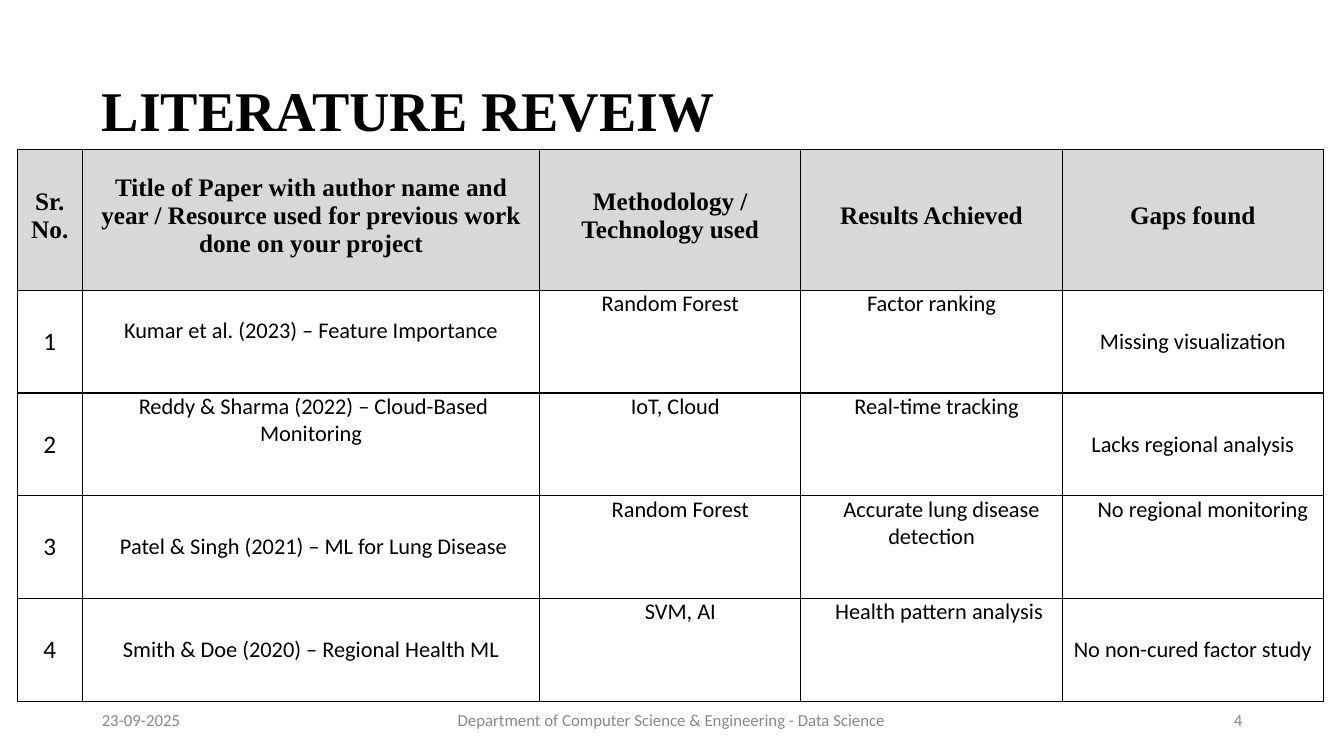
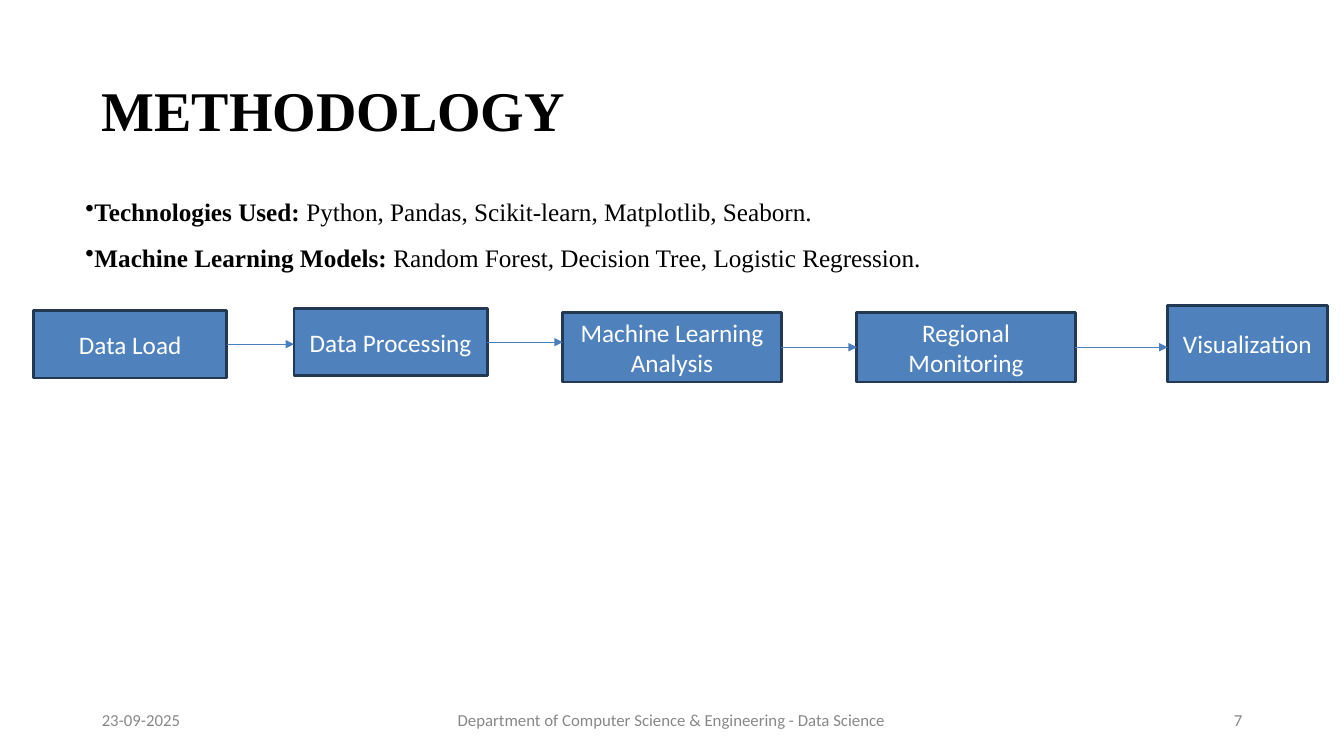
from dataclasses import dataclass
from itertools import pairwise

from lxml import etree
from pptx import Presentation
from pptx.dml.color import RGBColor
from pptx.enum.shapes import MSO_CONNECTOR, MSO_SHAPE
from pptx.enum.text import MSO_ANCHOR, PP_ALIGN
from pptx.oxml.ns import qn
from pptx.util import Emu, Inches, Pt

# Shared look
BLACK = RGBColor(0x00, 0x00, 0x00)
WHITE = RGBColor(0xFF, 0xFF, 0xFF)
FOOTER_GREY = RGBColor(0x88, 0x88, 0x88)
HEADER_GREY = RGBColor(0xD8, 0xD8, 0xD8)
STEP_BLUE = RGBColor(0x4F, 0x81, 0xBD)
STEP_EDGE = RGBColor(0x23, 0x39, 0x53)
ARROW_BLUE = RGBColor(0x4B, 0x7E, 0xBC)
SERIF, SANS = "Times New Roman", "Calibri"

CENTER = PP_ALIGN.CENTER
TOP, MIDDLE = MSO_ANCHOR.TOP, MSO_ANCHOR.MIDDLE
RECTANGLE, STRAIGHT = MSO_SHAPE.RECTANGLE, MSO_CONNECTOR.STRAIGHT
RIGHT_SITE = 3

SLIDE_WIDTH, SLIDE_HEIGHT = Inches(13.333), Inches(7.5)
GRID_COLUMN = SLIDE_WIDTH / 160


@dataclass(frozen=True)
class FooterItem:
    left: float
    width: float
    text: str


@dataclass(frozen=True)
class TableCell:
    text: str
    spaces: int = 0  # first-line indent, in widths of a space
    anchor: MSO_ANCHOR = TOP
    margin_top: float = 0


@dataclass(frozen=True)
class FlowStep:
    text: str
    column: int
    columns: int
    top: float
    height: float


# Literature table
HEADERS = (
    "Sr. No.",
    "Title of Paper with author name and year / "
    "Resource used for previous work done on your project",
    "Methodology / Technology used",
    "Results Achieved",
    "Gaps found",
)
PAPERS = (
    (TableCell("Kumar et al. (2023) – Feature Importance", margin_top=0.27),
     TableCell("Random Forest"),
     TableCell("Factor ranking"),
     TableCell("Missing visualization", anchor=MIDDLE)),
    (TableCell("Reddy & Sharma (2022) – Cloud-Based Monitoring", 1),
     TableCell("IoT, Cloud", 2),
     TableCell("Real-time tracking", 2),
     TableCell("Lacks regional analysis", anchor=MIDDLE)),
    (TableCell("Patel & Singh (2021) – ML for Lung Disease", 1, MIDDLE),
     TableCell("Random Forest", 4),
     TableCell("Accurate lung disease detection", 4),
     TableCell("No regional monitoring", 4)),
    (TableCell("Smith & Doe (2020) – Regional Health ML", anchor=MIDDLE),
     TableCell("SVM, AI", 4),
     TableCell("Health pattern analysis", 3),
     TableCell("No non-cured factor study", anchor=MIDDLE)),
)
COLUMN_SHARES = (1, 7, 4, 4, 4)
TABLE_WIDTH = 12.96
HEADER_HEIGHT, ROW_HEIGHT = 1.4, 1.02
SPACE_WIDTH = 0.05

# Methodology content
BULLETS = (
    ("Technologies Used:", " Python, Pandas, Scikit-learn, Matplotlib, Seaborn."),
    ("Machine Learning Models:", " Random Forest, Decision Tree, Logistic Regression."),
)
STEPS = (
    FlowStep("Data Load", 4, 23, 3.08, 0.67),
    FlowStep("Data Processing", 35, 23, 3.06, 0.67),
    FlowStep("Machine Learning Analysis", 67, 26, 3.1, 0.69),
    FlowStep("Regional Monitoring", 102, 26, 3.1, 0.69),
    FlowStep("Visualization", 139, 19, 3.03, 0.76),
)


def style(paragraph, font_name: str, size: float, color: RGBColor,
          bold: bool = False) -> None:
    font = paragraph.font
    font.name, font.size, font.bold = font_name, Pt(size), bold
    font.color.rgb = color


def add_text_frame(slide, left: float, top: float, width: float, height: float,
                   margin: float = 0):
    box = slide.shapes.add_textbox(Inches(left), Inches(top),
                                   Inches(width), Inches(height))
    frame = box.text_frame
    frame.word_wrap = True
    frame.margin_left = frame.margin_right = Inches(margin)
    frame.margin_top = frame.margin_bottom = Inches(margin / 2)
    return frame


def add_base_slide(presentation, title: str, number: int):
    """Add a blank slide with the shared title and footer."""
    slide = presentation.slides.add_slide(presentation.slide_layouts[6])
    paragraph = add_text_frame(slide, 1.01, 0.75, 7.19, 0.69).paragraphs[0]
    paragraph.text = title
    style(paragraph, SERIF, 40, BLACK, bold=True)
    footer = (
        FooterItem(1.01, 0.9, "23-09-2025"),
        FooterItem(4.54, 4.4, "Department of Computer Science & Engineering - Data Science"),
        FooterItem(12.24, 0.2, str(number)),
    )
    for item in footer:
        paragraph = add_text_frame(slide, item.left, 7.07, item.width, 0.19).paragraphs[0]
        paragraph.text = item.text
        paragraph.line_spacing = Pt(12.4)
        style(paragraph, SANS, 12, FOOTER_GREY)
    return slide


def add_borders(cell) -> None:
    properties = cell._tc.get_or_add_tcPr()
    for side in ("a:lnL", "a:lnR", "a:lnT", "a:lnB"):
        line = etree.SubElement(properties, qn(side), w=str(Pt(1)))
        fill = etree.SubElement(line, qn("a:solidFill"))
        etree.SubElement(fill, qn("a:srgbClr"), val=str(BLACK))


def fill_cell(cell, content: TableCell, font_name: str, size: float,
              fill: RGBColor = WHITE, bold: bool = False, margin: float = 0) -> None:
    add_borders(cell)
    cell.fill.solid()
    cell.fill.fore_color.rgb = fill
    cell.margin_left = cell.margin_right = Inches(margin)
    cell.margin_top, cell.margin_bottom = Inches(content.margin_top), 0
    cell.vertical_anchor = content.anchor
    paragraph = cell.text_frame.paragraphs[0]
    paragraph.text = content.text
    paragraph.alignment = CENTER
    style(paragraph, font_name, size, BLACK, bold)
    if content.spaces:
        indent = Inches(content.spaces * SPACE_WIDTH)
        paragraph._p.get_or_add_pPr().set("indent", str(indent))


def add_paper_table(slide) -> None:
    height = HEADER_HEIGHT + len(PAPERS) * ROW_HEIGHT
    table = slide.shapes.add_table(
        len(PAPERS) + 1, len(HEADERS), Inches(0.17), Inches(1.48),
        Inches(TABLE_WIDTH), Inches(height)).table
    table.first_row = table.horz_banding = False
    for column, share in zip(table.columns, COLUMN_SHARES):
        column.width = Inches(TABLE_WIDTH * share / sum(COLUMN_SHARES))
    for index, row in enumerate(table.rows):
        row.height = Inches(ROW_HEIGHT if index else HEADER_HEIGHT)

    for index, header in enumerate(HEADERS):
        fill_cell(table.cell(0, index), TableCell(header, anchor=MIDDLE), SERIF, 18,
                  HEADER_GREY, bold=True, margin=0.15 if index else 0)
        table.cell(0, index).margin_bottom = Inches(0.08)
    for number, paper in enumerate(PAPERS, start=1):
        fill_cell(table.cell(number, 0), TableCell(str(number), anchor=MIDDLE), SANS, 18)
        for column, content in enumerate(paper, start=1):
            fill_cell(table.cell(number, column), content, SANS, 16)


def add_bullets(slide) -> None:
    frame = add_text_frame(slide, 0.75, 1.75, 12.33, 0.96, margin=0.1)
    for index, (label, detail) in enumerate(BULLETS):
        paragraph = frame.add_paragraph() if index else frame.paragraphs[0]
        paragraph.line_spacing = 1.5
        style(paragraph, SERIF, 18, BLACK)
        label_run = paragraph.add_run()
        label_run.text = label
        label_run.font.bold = True
        paragraph.add_run().text = detail
        properties = paragraph._p.get_or_add_pPr()
        bullet = etree.Element(qn("a:buChar"), char="•")
        properties.find(qn("a:defRPr")).addprevious(bullet)


def add_step(slide, step: FlowStep):
    shape = slide.shapes.add_shape(
        RECTANGLE, Emu(round(step.column * GRID_COLUMN)), Inches(step.top),
        Emu(round(step.columns * GRID_COLUMN)), Inches(step.height))
    shape.shadow.inherit = False
    shape.fill.solid()
    shape.fill.fore_color.rgb = STEP_BLUE
    shape.line.color.rgb = STEP_EDGE
    shape.line.width = Pt(2)
    frame = shape.text_frame
    frame.word_wrap = True
    frame.vertical_anchor = MIDDLE
    paragraph = frame.paragraphs[0]
    paragraph.text = step.text
    paragraph.alignment = CENTER
    style(paragraph, SANS, 18, WHITE)
    return shape


def add_arrow(slide, source, target) -> None:
    """Draw a level arrow from the middle of source to the edge of target."""
    middle = source.top + source.height // 2
    arrow = slide.shapes.add_connector(
        STRAIGHT, source.left + source.width, middle, target.left, middle)
    arrow.begin_connect(source, RIGHT_SITE)
    arrow.line.color.rgb = ARROW_BLUE
    arrow.line.width = Pt(0.75)
    etree.SubElement(arrow.line._get_or_add_ln(), qn("a:tailEnd"), type="triangle")
    etree.SubElement(arrow._element.spPr, qn("a:effectLst"))


def main() -> None:
    presentation = Presentation()
    presentation.slide_width, presentation.slide_height = SLIDE_WIDTH, SLIDE_HEIGHT

    # Literature review
    slide = add_base_slide(presentation, "LITERATURE REVEIW", 4)
    add_paper_table(slide)

    # Methodology
    slide = add_base_slide(presentation, "METHODOLOGY", 7)
    add_bullets(slide)
    shapes = [add_step(slide, step) for step in STEPS]
    for source, target in pairwise(shapes):
        add_arrow(slide, source, target)

    presentation.save("out.pptx")


if __name__ == "__main__":
    main()
